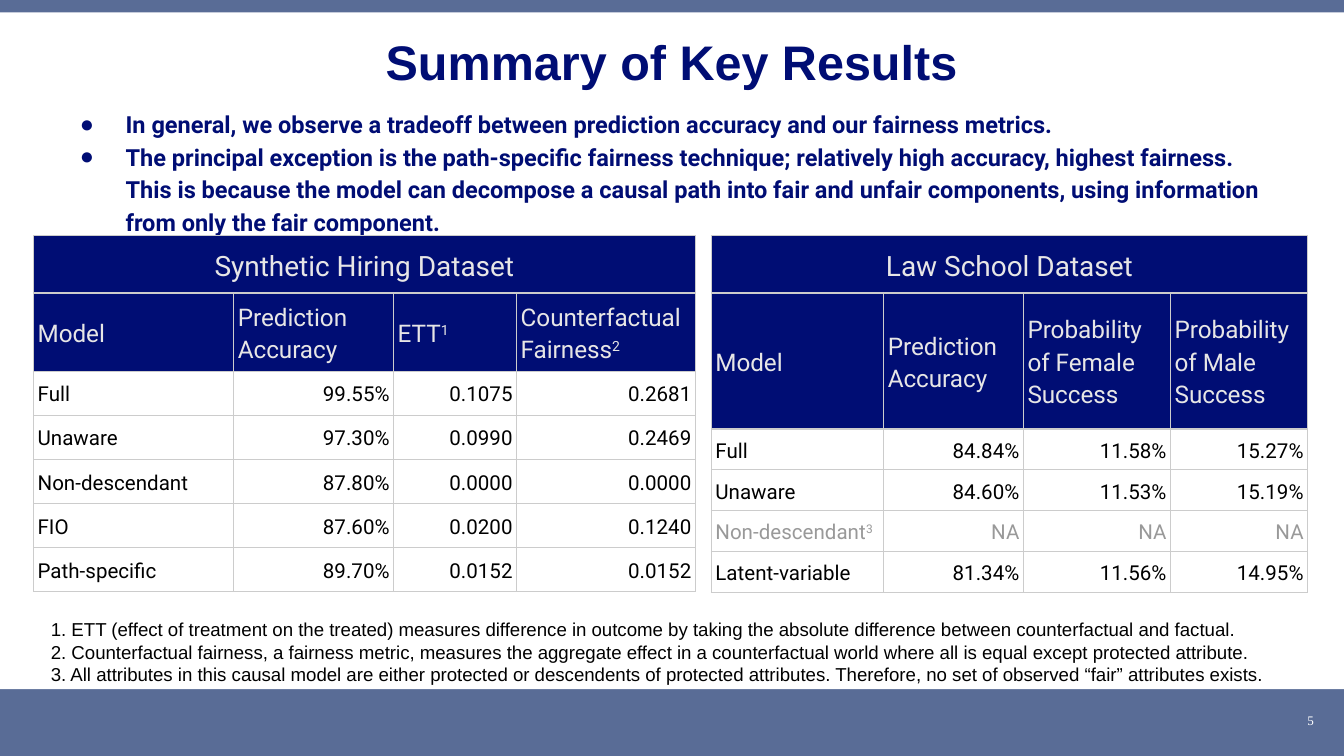
from lxml import etree
from pptx import Presentation
from pptx.dml.color import RGBColor
from pptx.enum.shapes import MSO_SHAPE
from pptx.enum.text import MSO_ANCHOR, MSO_AUTO_SIZE, PP_ALIGN
from pptx.oxml import parse_xml
from pptx.oxml.ns import nsdecls, qn
from pptx.util import Inches, Pt

RECT = MSO_SHAPE.RECTANGLE
MID, TOP = MSO_ANCHOR.MIDDLE, MSO_ANCHOR.TOP
LEFT, MID_X, RIGHT = PP_ALIGN.LEFT, PP_ALIGN.CENTER, PP_ALIGN.RIGHT
FIXED = MSO_AUTO_SIZE.NONE
INK = {"navy": "000D74", "band": "203A72", "white": "FFFFFF", "pale": "E7E6E6",
       "black": "000000", "gray": "999999", "rule": "CCCCCC"}

deck = Presentation()
deck.slide_width = Inches(10)
deck.slide_height = deck.slide_width * 9 // 16
COL, ROW = deck.slide_width / 100, deck.slide_height / 100  # one percent each way
slide = deck.slides.add_slide(deck.slide_layouts[1])
tree = slide.shapes


def area(x, y, w, h):
    """Turn percent shares of the slide into lengths."""
    return [int(x * COL), int(y * ROW), int(w * COL), int(h * ROW)]


def write(par, text, font, size, ink, bold=False, align=LEFT, space=1.0):
    """Fill a paragraph; text after ^ is raised."""
    for key, val in {"alignment": align, "line_spacing": space,
                     "space_before": Pt(0), "space_after": Pt(0)}.items():
        setattr(par, key, val)
    for num, part in enumerate(text.split("^")):
        run = par.add_run()
        run.text = part
        for key, val in {"name": font, "size": Pt(size), "bold": bold}.items():
            setattr(run.font, key, val)
        run.font.color.rgb = RGBColor.from_string(INK[ink])
        if num:
            run.font._element.set("baseline", "30000")


# Backdrop: tinted slide with a white panel, behind the placeholders
for pos, (spot, ink) in enumerate([((0, 0, 100, 100), "band"),
                                   ((0, 1.65, 100, 89.5), "white")]):
    pane = tree.add_shape(RECT, *area(*spot))
    pane.shadow.inherit = False
    pane.fill.solid()
    pane.fill.fore_color.rgb = RGBColor.from_string(INK[ink])
    pane.line.fill.background()
    if ink == "band":
        tint = pane._element.spPr.find(".//" + qn("a:srgbClr"))
        etree.SubElement(tint, qn("a:alpha")).set("val", "74000")
    tree._spTree.insert(2 + pos, pane._element)

# Text frames: title, body, footnotes, slide number
title, body = tree.title, slide.placeholders[1]
notes = tree.add_textbox(0, 0, 0, 0)
page = tree.add_textbox(0, 0, 0, 0)
for shape, spot, pad, anchor in [
        (title, (2.65, 3.75, 94.7, 9.6), (0.07, 0.04), MID),
        (body, (3.65, 15.6, 92.3, 14), (0.07, 0.04), MID),
        (notes, (2.8, 80, 95.5, 12.6), (0.1, 0.1), TOP),
        (page, (76.25, 92.6, 22.5, 5.3), (0.1, 0.05), MID)]:
    shape.left, shape.top, shape.width, shape.height = area(*spot)
    frame = shape.text_frame
    side, edge = Inches(pad[0]), Inches(pad[1])
    for key, val in {"word_wrap": True, "auto_size": FIXED,
                     "vertical_anchor": anchor, "margin_left": side,
                     "margin_right": side, "margin_top": edge,
                     "margin_bottom": edge}.items():
        setattr(frame, key, val)

write(title.text_frame.paragraphs[0], "Summary of Key Results",
      "Arial", 26, "navy", True, MID_X, 0.9)
write(page.text_frame.paragraphs[0], "5", "Times New Roman", 7, "white", align=RIGHT)

# Bulleted findings
points = [
    "In general, we observe a tradeoff between prediction accuracy and our fairness metrics.",
    "The principal exception is the path-specific fairness technique; relatively high accuracy, "
    "highest fairness. This is because the model can decompose a causal path into fair and unfair "
    "components, using information from only the fair component."]
for num, text in enumerate(points):
    frame = body.text_frame
    par = frame.add_paragraph() if num else frame.paragraphs[0]
    props = par._p.get_or_add_pPr()
    props.set("marL", str(Inches(0.5)))
    props.set("indent", str(Inches(-0.34)))
    tint = etree.SubElement(props, qn("a:buClr"))
    etree.SubElement(tint, qn("a:srgbClr")).set("val", INK["navy"])
    etree.SubElement(props, qn("a:buFont")).set("typeface", "Arial")
    etree.SubElement(props, qn("a:buChar")).set("char", "●")
    write(par, text, "Roboto", 12.6, "navy", True, space=1.15)

# Footnotes
facts = [
    "1. ETT (effect of treatment on the treated) measures difference in outcome by taking "
    "the absolute difference between counterfactual and factual.",
    "2. Counterfactual fairness, a fairness metric, measures the aggregate effect in a "
    "counterfactual world where all is equal except protected attribute.",
    "3. All attributes in this causal model are either protected or descendents of protected "
    "attributes. Therefore, no set of observed “fair” attributes exists."]
for num, text in enumerate(facts):
    frame = notes.text_frame
    par = frame.add_paragraph() if num else frame.paragraphs[0]
    write(par, text, "Arial", 10, "black")

# Result tables: left edge, column shares, heights of header and data rows, cells
hiring = [
    ["Synthetic Hiring Dataset", "", "", ""],
    ["Model", "Prediction Accuracy", "ETT^1", "Counterfactual Fairness^2"],
    ["Full", "99.55%", "0.1075", "0.2681"],
    ["Unaware", "97.30%", "0.0990", "0.2469"],
    ["Non-descendant", "87.80%", "0.0000", "0.0000"],
    ["FIO", "87.60%", "0.0200", "0.1240"],
    ["Path-specific", "89.70%", "0.0152", "0.0152"]]
school = [
    ["Law School Dataset", "", "", ""],
    ["Model", "Prediction Accuracy", "Probability of Female Success",
     "Probability of Male Success"],
    ["Full", "84.84%", "11.58%", "15.27%"],
    ["Unaware", "84.60%", "11.53%", "15.19%"],
    ["Non-descendant^3", "NA", "NA", "NA"],
    ["Latent-variable", "81.34%", "11.56%", "14.95%"]]
for left, cols, head, step, rows in [
        (2.5, (14.9, 11.9, 9.15, 13.3), 10.35, 5.83, hiring),
        (52.93, (12.83, 10.4, 10.95, 10.2), 18, 5.4, school)]:
    highs = [7.55, head] + [step] * (len(rows) - 2)
    grid = tree.add_table(len(rows), len(cols),
                          *area(left, 31.2, sum(cols), sum(highs))).table
    grid.first_row = grid.horz_banding = False
    for col, wide in zip(grid.columns, cols):
        col.width = int(wide * COL)
    for row, high in zip(grid.rows, highs):
        row.height = int(high * ROW)
    grid.cell(0, 0).merge(grid.cell(0, len(cols) - 1))
    for r, line in enumerate(rows):
        for c, text in enumerate(line):
            cell = grid.cell(r, c)
            for key, val in {"margin_left": 0.03, "margin_right": 0.03,
                             "margin_top": 0.02, "margin_bottom": 0.02}.items():
                setattr(cell, key, Inches(val))
            cell.vertical_anchor = MID
            cell.fill.solid()
            cell.fill.fore_color.rgb = RGBColor.from_string(INK["navy" if r < 2 else "white"])
            for n, side in enumerate("LRTB"):
                cell._tc.tcPr.insert(n, parse_xml(
                    f'<a:ln{side} {nsdecls("a")} w="{Pt(0.75)}"><a:solidFill>'
                    f'<a:srgbClr val="{INK["rule"]}"/></a:solidFill></a:ln{side}>'))
            if not text:
                continue
            size = (15, 13)[r] if r < 2 else 11
            ink = "pale" if r < 2 else "gray" if "NA" in line else "black"
            align = MID_X if r == 0 else RIGHT if r > 1 and c else LEFT
            write(cell.text_frame.paragraphs[0], text, "Roboto", size, ink,
                  align=align, space=1.15)

deck.save("out.pptx")
